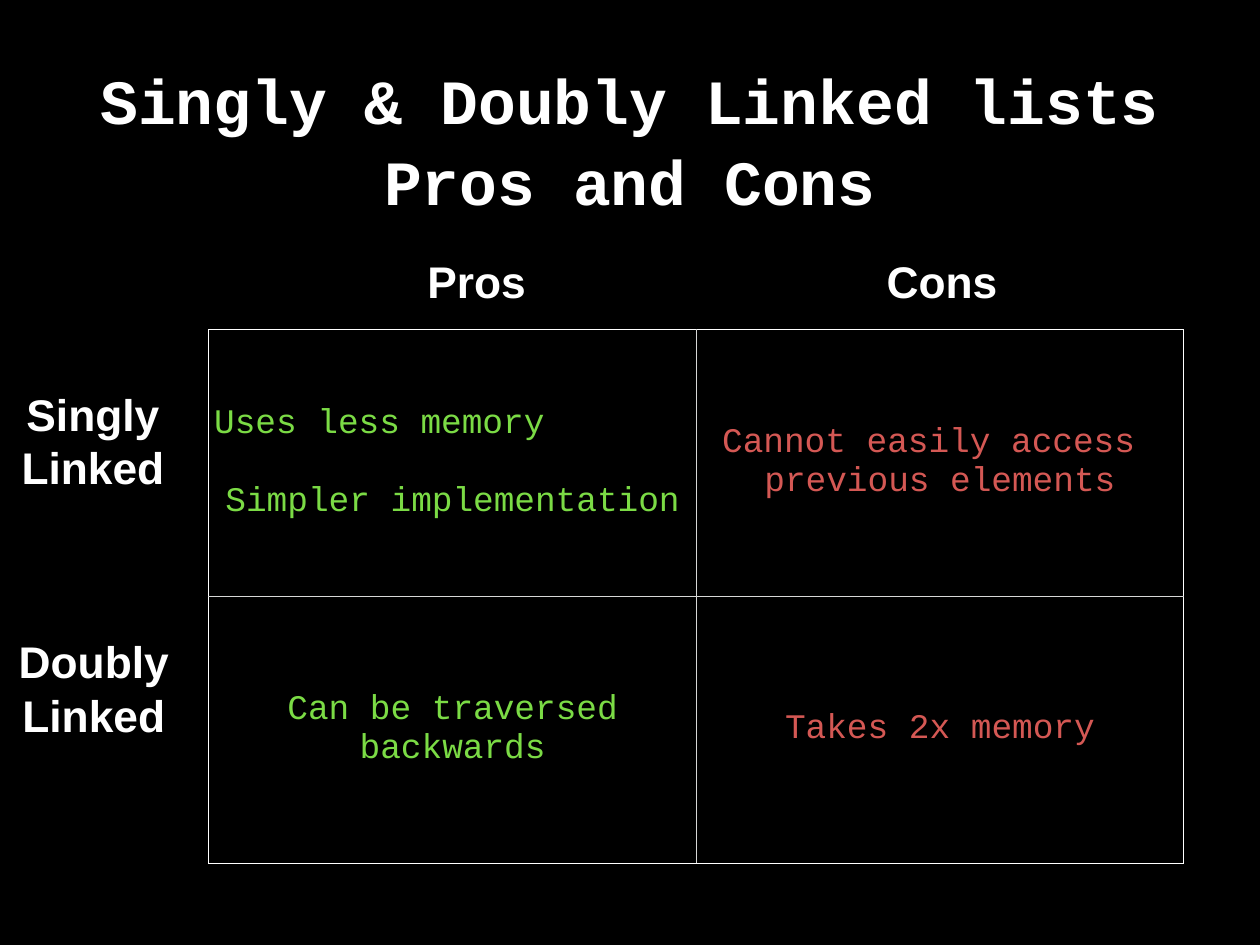
from dataclasses import dataclass

from pptx import Presentation
from pptx import util as u
from pptx.dml.color import RGBColor
from pptx.enum import text
from pptx.oxml import parse_xml
from pptx.oxml.ns import nsdecls

CENTER, LEFT = text.PP_ALIGN.CENTER, text.PP_ALIGN.LEFT
MIDDLE = text.MSO_ANCHOR.MIDDLE


@dataclass(frozen=True)
class Theme:
    background: str = "000000"
    ink: str = "FFFFFF"
    inner_line: str = "D6D7D6"
    pro: str = "7BDB45"
    con: str = "D45854"
    code_font: str = "Courier New"
    label_font: str = "Arial"
    title_size: float = 51.2
    label_size: float = 36
    body_size: float = 28
    inset: float = 0.15


def set_all(target, values):
    for name, value in values.items():
        setattr(target, name, value)


class SlideBuilder:
    def __init__(self, slide, theme):
        self.slide, self.theme = slide, theme
        fill = slide.background.fill
        fill.solid()
        fill.fore_color.rgb = RGBColor.from_string(theme.background)

    def add_lines(self, frame, lines, color, font, paragraph_formats=()):
        """Fill a text frame with one paragraph per line; formats override by line."""
        for index, line in enumerate(lines):
            paragraph = frame.add_paragraph() if index else frame.paragraphs[0]
            layout = {"alignment": CENTER}
            if index < len(paragraph_formats):
                layout.update(paragraph_formats[index])
            set_all(paragraph, layout)
            run = paragraph.add_run()
            run.text = line
            set_all(run.font, font)
            run.font.color.rgb = RGBColor.from_string(color)

    def margins(self):
        sides = ("left", "top", "right", "bottom")
        return {f"margin_{side}": u.Cm(self.theme.inset) for side in sides}

    def text_box(self, box, lines, font, frame_format, paragraph_formats=()):
        frame = self.slide.shapes.add_textbox(*map(u.Cm, box)).text_frame
        set_all(frame, {**self.margins(), "vertical_anchor": MIDDLE, **frame_format})
        self.add_lines(frame, lines, self.theme.ink, font, paragraph_formats)

    def title(self, box, lines):
        t = self.theme
        font = {"name": t.code_font, "size": u.Pt(t.title_size), "bold": True}
        spacing = [{"line_spacing": 1.07}] * len(lines)
        self.text_box(box, lines, font,
                      {"word_wrap": True, "margin_top": u.Cm(0.6)}, spacing)

    def label(self, box, lines):
        t = self.theme
        font = {"name": t.label_font, "size": u.Pt(t.label_size), "bold": True}
        self.text_box(box, lines, font,
                      {"word_wrap": False,
                       "auto_size": text.MSO_AUTO_SIZE.SHAPE_TO_FIT_TEXT})

    def borders(self, cell, outer_sides):
        properties = cell._tc.get_or_add_tcPr()
        for position, side in enumerate("LRTB"):
            color = self.theme.ink if side in outer_sides else self.theme.inner_line
            properties.insert(position, parse_xml(
                f'<a:ln{side} {nsdecls("a")} w="12700"><a:solidFill>'
                f'<a:srgbClr val="{color}"/></a:solidFill></a:ln{side}>'))

    def comparison(self, left, top, column_width, row_height, rows):
        """Draw the grid; each cell is (lines, paragraph formats)."""
        t = self.theme
        row_count, column_count = len(rows), len(rows[0])
        table = self.slide.shapes.add_table(
            row_count, column_count, u.Cm(left), u.Cm(top),
            u.Cm(column_width * column_count), u.Cm(row_height * row_count)).table
        set_all(table, {"first_row": False, "horz_banding": False})
        font = {"name": t.code_font, "size": u.Pt(t.body_size), "bold": False}
        for r, row in enumerate(rows):
            for c, (lines, formats) in enumerate(row):
                cell = table.cell(r, c)
                set_all(cell, {**self.margins(), "vertical_anchor": MIDDLE})
                cell.fill.background()
                self.add_lines(cell.text_frame, lines, (t.pro, t.con)[c], font, formats)
                self.borders(cell, "LR"[c] + "TB"[r])


def main():
    deck = Presentation()
    set_all(deck, {"slide_width": u.Cm(36.12), "slide_height": u.Cm(27.1)})
    builder = SlideBuilder(deck.slides.add_slide(deck.slide_layouts[6]), Theme())

    builder.title((2.64, 0.71, 30.84, 5.99),
                  ["Singly & Doubly Linked lists", "Pros and Cons"])

    flush_left = {"alignment": LEFT}
    one_line_gap = {"space_before": u.Pt(31.7)}
    builder.comparison(5.99, 9.45, 13.97, 7.65, [
        [(["Uses less memory", "Simpler implementation"], [flush_left, one_line_gap]),
         ([" Cannot easily access", "previous elements"], [flush_left])],
        [(["Can be traversed backwards"], []),
         (["Takes 2x memory"], [])],
    ])

    for box, lines in [
        ((12.09, 7.16, 3.15, 1.8), ["Pros"]),
        ((25.25, 7.16, 3.51, 1.8), ["Cons"]),
        ((0.43, 10.97, 4.47, 3.33), ["Singly", "Linked"]),
        ((0.2, 18.06, 4.98, 3.33), ["Doubly", "Linked"]),
    ]:
        builder.label(box, lines)

    deck.save("out.pptx")


if __name__ == "__main__":
    main()
